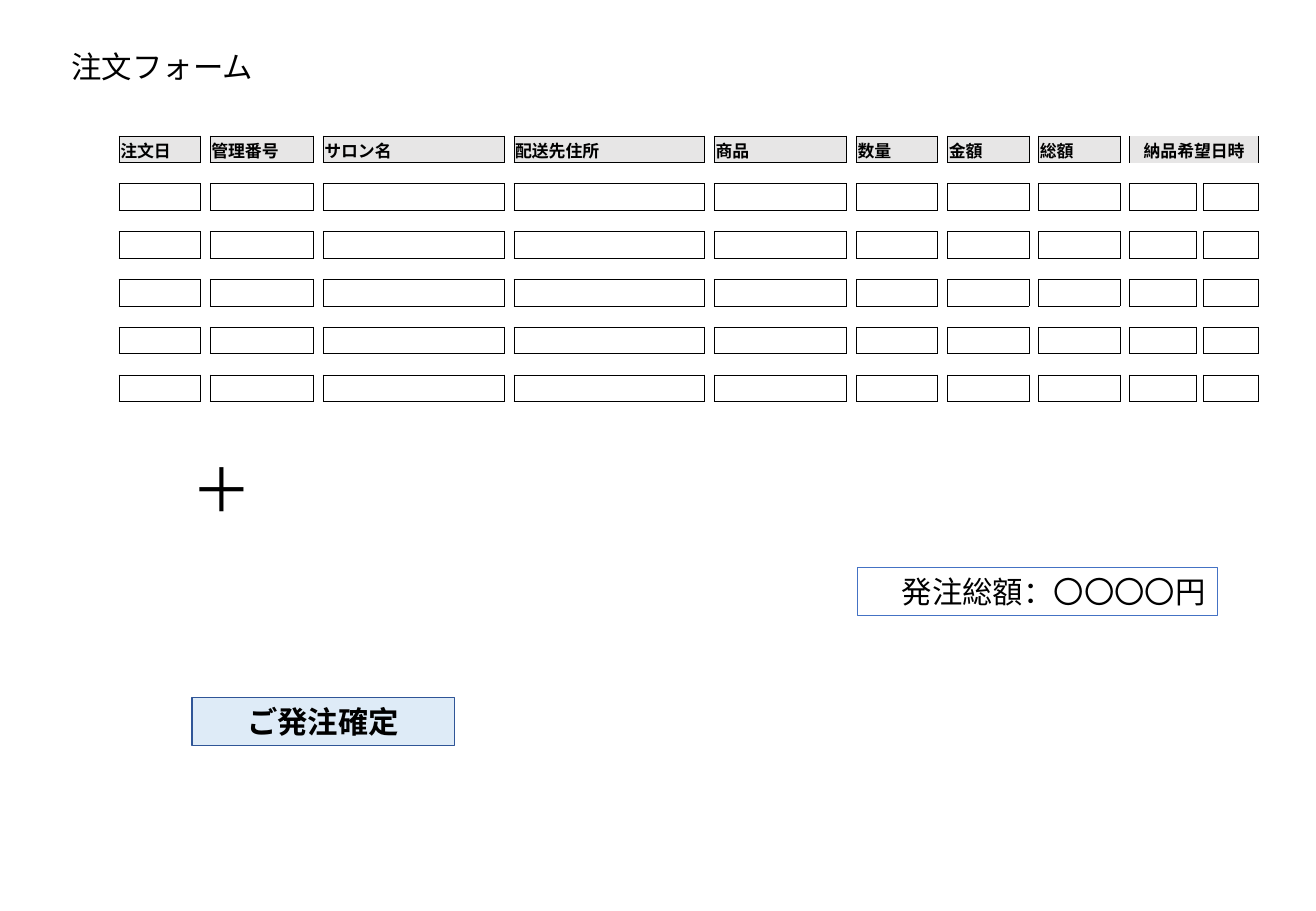
from dataclasses import dataclass

from lxml import etree
from pptx import Presentation
from pptx.dml.color import RGBColor
from pptx.enum.shapes import MSO_SHAPE
from pptx.enum.text import MSO_ANCHOR, MSO_AUTO_SIZE, PP_ALIGN
from pptx.oxml.ns import qn
from pptx.util import Inches, Pt

RECT = MSO_SHAPE.RECTANGLE
LEFT, CENTER, RIGHT = PP_ALIGN.LEFT, PP_ALIGN.CENTER, PP_ALIGN.RIGHT
TOP, MIDDLE = MSO_ANCHOR.TOP, MSO_ANCHOR.MIDDLE
GROW = MSO_AUTO_SIZE.SHAPE_TO_FIT_TEXT


@dataclass(frozen=True)
class Theme:
    """Colours, fonts and sizes of the order form."""
    ink: str = "000000"
    header: str = "E7E6E6"
    total_line: str = "4472C4"
    button: str = "DEEBF7"
    button_line: str = "2F5597"
    body_font: str = "Calibri"
    table_font: str = "Noto Sans CJK JP"
    body: int = 18
    plus: int = 36
    cell: int = 10
    empty: int = 6
    outline: float = 0.75
    grid: float = 0.5


THEME = Theme()
HEADERS = ["注文日", "管理番号", "サロン名", "配送先住所", "商品", "数量", "金額", "総額", "納品希望日時"]
FIELD_WIDTHS = [0.67, 0.85, 1.49, 1.57, 1.09, 0.67, 0.67, 0.67, 0.55, 0.45]
FIELD_HEIGHT, DATE_GAP, ORDERS = 0.22, 0.04, 5


def write_text(tf, text, size=THEME.body, font=THEME.body_font, bold=False, align=LEFT):
    """Write one formatted paragraph into a text frame."""
    p = tf.paragraphs[0]
    p.alignment = align
    r = p.add_run()
    r.text = text
    r.font.size, r.font.bold, r.font.name = Pt(size), bold, font
    r.font.color.rgb = RGBColor.from_string(THEME.ink)
    etree.SubElement(r.font._element, qn("a:ea"), typeface=font)


def add_label(slide, box, text, wrap=True, **fmt):
    """Add a plain text box."""
    tf = slide.shapes.add_textbox(*map(Inches, box)).text_frame
    tf.word_wrap, tf.auto_size = wrap, GROW
    write_text(tf, text, **fmt)


def add_panel(slide, box, text, line, fill=None, **fmt):
    """Add an outlined rectangle with text."""
    sp = slide.shapes.add_shape(RECT, *map(Inches, box))
    sp.shadow.inherit = False
    if fill:
        sp.fill.solid()
        sp.fill.fore_color.rgb = RGBColor.from_string(fill)
    else:
        sp.fill.background()
    sp.line.color.rgb = RGBColor.from_string(line)
    sp.line.width = Pt(THEME.outline)
    tf = sp.text_frame
    tf.word_wrap, tf.auto_size, tf.vertical_anchor = True, GROW, TOP
    write_text(tf, text, **fmt)


def set_borders(cell, sides):
    """Draw the named sides of a cell and clear the others."""
    tc_pr = cell._tc.get_or_add_tcPr()
    for i, side in enumerate("LRTB"):
        ln = etree.Element(qn("a:ln" + side), w=str(Pt(THEME.grid)))
        if side in sides:
            fill = etree.SubElement(ln, qn("a:solidFill"))
            etree.SubElement(fill, qn("a:srgbClr"), val=THEME.ink)
        else:
            etree.SubElement(ln, qn("a:noFill"))
        tc_pr.insert(i, ln)


def cell_sides(row, col, date_col):
    """Return the visible sides of a cell, fields lying on even rows and columns."""
    if row == 0 and col >= date_col:
        return "LR"
    if row == 1 and col >= date_col:
        return "" if col % 2 else "B"
    return ("" if row % 2 else "LR") + ("" if col % 2 else "TB")


def format_cell(cell, sides, text="", align=LEFT):
    """Set the margins, fill, borders and text of one cell."""
    cell.margin_left = cell.margin_right = cell.margin_top = Inches(0.01)
    cell.margin_bottom = 0
    cell.vertical_anchor = MIDDLE
    if text:
        cell.fill.solid()
        cell.fill.fore_color.rgb = RGBColor.from_string(THEME.header)
        write_text(cell.text_frame, text, size=THEME.cell, font=THEME.table_font,
                   bold=True, align=align)
    else:
        cell.fill.background()
        p = cell.text_frame.paragraphs[0]
        etree.SubElement(p._p, qn("a:endParaRPr"), sz=str(THEME.empty * 100))
    set_borders(cell, sides)


def add_order_table(slide, box):
    """Add the order table, with fields parted by empty rows and columns."""
    left, top, width, height = box
    fields = len(FIELD_WIDTHS)
    n_rows, n_cols = 2 * ORDERS + 1, 2 * fields - 1
    date_col = n_cols - 3
    col_gap = (width - sum(FIELD_WIDTHS) - DATE_GAP) / (fields - 2)
    row_gap = (height - FIELD_HEIGHT * (ORDERS + 1)) / ORDERS
    table = slide.shapes.add_table(n_rows, n_cols, *map(Inches, box)).table
    table.first_row = table.horz_banding = False
    for i, col in enumerate(table.columns):
        gap = DATE_GAP if i > date_col else col_gap
        col.width = Inches(gap if i % 2 else FIELD_WIDTHS[i // 2])
    for i, row in enumerate(table.rows):
        row.height = Inches(row_gap if i % 2 else FIELD_HEIGHT)
    table.cell(0, date_col).merge(table.cell(0, n_cols - 1))
    titles = {2 * i: title for i, title in enumerate(HEADERS)}
    for r in range(n_rows):
        for c in range(n_cols):
            format_cell(table.cell(r, c), cell_sides(r, c, date_col),
                        titles.get(c, "") if r == 0 else "",
                        CENTER if c == date_col else LEFT)


def build_order_form(slide):
    """Place all parts of the order form."""
    add_label(slide, (0.49, 0.35, 1.72, 0.4), "注文フォーム", wrap=False)
    add_order_table(slide, (0.98, 1.12, 9.36, 2.19))
    add_label(slide, (1.48, 3.67, 0.93, 0.71), "＋", size=THEME.plus)
    add_panel(slide, (7.06, 4.67, 2.96, 0.4), "発注総額：〇〇〇〇円",
              THEME.total_line, align=RIGHT)
    add_panel(slide, (1.58, 5.74, 2.16, 0.4), "ご発注確定",
              THEME.button_line, fill=THEME.button, bold=True, align=CENTER)


def main():
    """Build and save the presentation."""
    prs = Presentation()
    prs.slide_width, prs.slide_height = Inches(10.83), Inches(7.5)
    build_order_form(prs.slides.add_slide(prs.slide_layouts[6]))
    prs.save("out.pptx")


if __name__ == "__main__":
    main()
